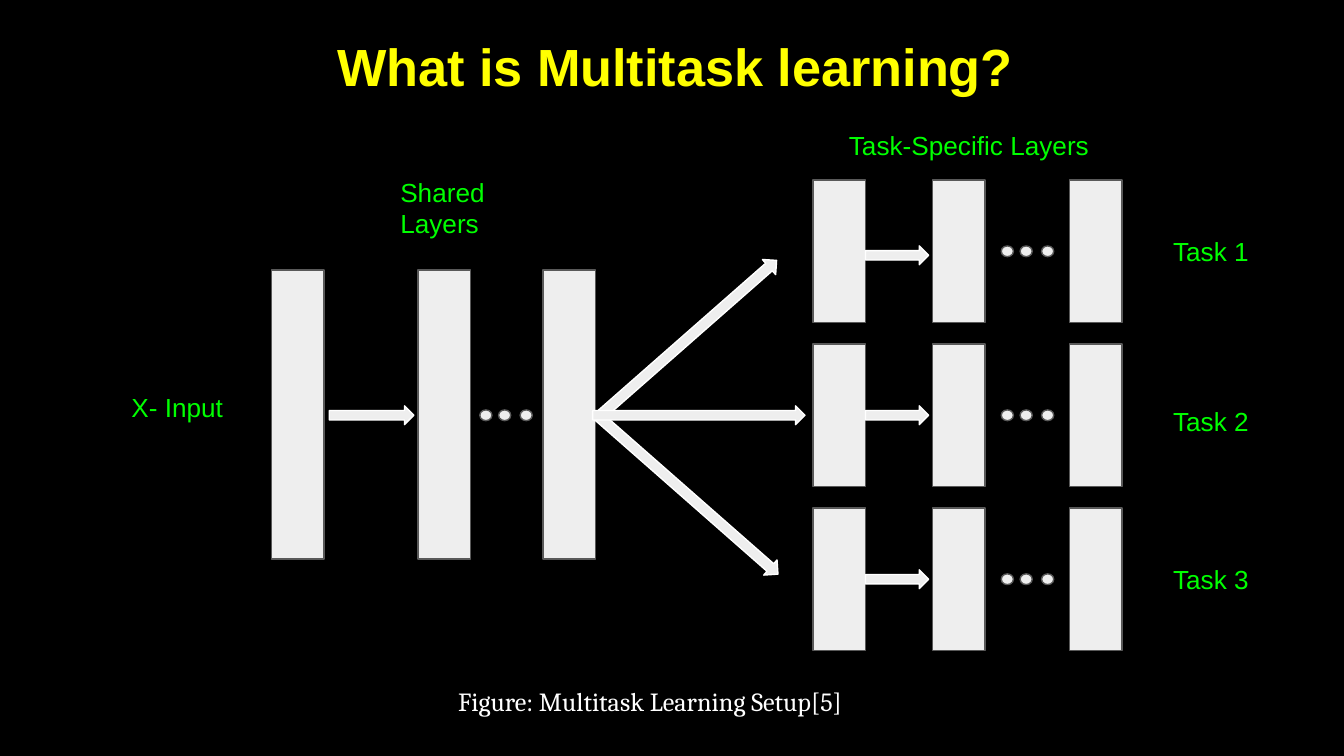
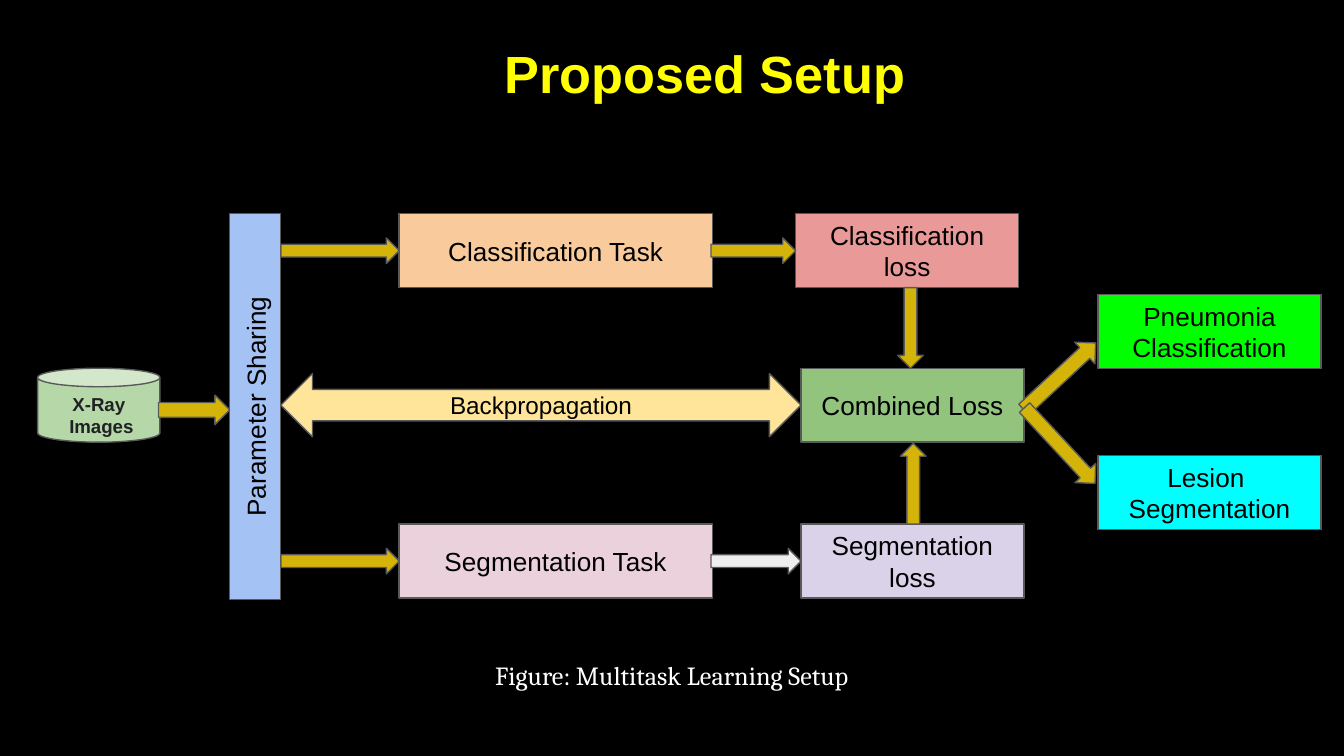
from pptx import Presentation
from pptx.dml.color import RGBColor
from pptx.enum.shapes import MSO_SHAPE
from pptx.enum.text import MSO_ANCHOR, MSO_AUTO_SIZE, PP_ALIGN
from pptx.util import Inches, Pt

RECTANGLE, OVAL, CAN = MSO_SHAPE.RECTANGLE, MSO_SHAPE.OVAL, MSO_SHAPE.CAN
RIGHT, UP, DOWN = MSO_SHAPE.RIGHT_ARROW, MSO_SHAPE.UP_ARROW, MSO_SHAPE.DOWN_ARROW
LEFT_RIGHT = MSO_SHAPE.LEFT_RIGHT_ARROW
ALIGN_LEFT, ALIGN_CENTER = PP_ALIGN.LEFT, PP_ALIGN.CENTER
TOP, MIDDLE = MSO_ANCHOR.TOP, MSO_ANCHOR.MIDDLE
FIT_SHAPE = MSO_AUTO_SIZE.SHAPE_TO_FIT_TEXT

BLACK, WHITE = "000000", "FFFFFF"
YELLOW, GREEN = "FFFF00", "00FF00"
OUTLINE, LIGHT, GOLD = "595959", "EEEEEE", "D5B409"
BODY_FONT, CAPTION_FONT = "Arial", "Cambria"
LAYER_WIDTH = 0.39


def color(hex_value):
    return RGBColor.from_string(hex_value)


def write(shape, text, size, text_color, font=BODY_FONT, bold=False,
          align=ALIGN_CENTER, anchor=MIDDLE):
    """Fill a shape with text, one paragraph per line."""
    frame = shape.text_frame
    frame.text = text
    frame.word_wrap = True
    frame.vertical_anchor = anchor
    for paragraph in frame.paragraphs:
        paragraph.alignment = align
        paragraph.font.name = font
        paragraph.font.size = Pt(size)
        paragraph.font.bold = bold
        paragraph.font.color.rgb = color(text_color)
    return frame


def add_text(slide, box, text, size=14, text_color=GREEN, **style):
    """Add a text box that grows with its text."""
    shape = slide.shapes.add_textbox(*map(Inches, box))
    style = {"align": ALIGN_LEFT, "anchor": TOP, **style}
    frame = write(shape, text, size, text_color, **style)
    frame.auto_size = FIT_SHAPE
    frame.margin_left = frame.margin_right = Inches(0.1)
    frame.margin_top = frame.margin_bottom = Inches(0.1)
    return frame


def add_title(slide, box, text, line_spacing, align):
    frame = add_text(slide, box, text, 28, YELLOW, bold=True, align=align, anchor=MIDDLE)
    paragraph = frame.paragraphs[0]
    paragraph.line_spacing = line_spacing
    paragraph.space_after = Pt(12)
    properties = paragraph._p.get_or_add_pPr()
    properties.set("marL", "0")
    properties.set("indent", str(Inches(0.5)))


def add_caption(slide, box, text, align):
    add_text(slide, box, text, 14, WHITE, font=CAPTION_FONT, align=align)


def add_shape(slide, kind, box, fill, line=OUTLINE, rotation=0):
    shape = slide.shapes.add_shape(kind, *map(Inches, box))
    shape.shadow.inherit = False
    shape.fill.solid()
    shape.fill.fore_color.rgb = color(fill)
    shape.line.color.rgb = color(line)
    shape.line.width = Pt(0.75)
    shape.rotation = rotation
    return shape


def add_box(slide, kind, box, fill, text, size=14, text_color=BLACK, bold=False):
    shape = add_shape(slide, kind, box, fill)
    frame = write(shape, text, size, text_color, bold=bold)
    frame.margin_top = frame.margin_bottom = 0
    return frame


def add_layer(slide, left, top, height):
    add_shape(slide, RECTANGLE, (left, top, LAYER_WIDTH, height), LIGHT)


def add_dots(slide, left, top):
    for offset in (0, 0.14, 0.3):
        add_shape(slide, OVAL, (left + offset, top, 0.09, 0.08), LIGHT)


def add_slide(presentation):
    slide = presentation.slides.add_slide(presentation.slide_layouts[6])
    slide.background.fill.solid()
    slide.background.fill.fore_color.rgb = color(BLACK)
    return slide


def build_multitask_slide(presentation):
    slide = add_slide(presentation)
    add_title(slide, (1.91, 0.12, 6.19, 0.67), "What is Multitask learning?", 1.15, ALIGN_LEFT)

    for left in (2.02, 3.11, 4.04):
        add_layer(slide, left, 2.01, 2.15)
    add_dots(slide, 3.57, 3.05)

    task_rows = [(1.83, 1.65), (3.02, 2.92), (4.24, 4.09)]
    for index, (arrow_top, label_top) in enumerate(task_rows):
        row_top = 1.34 + 1.22 * index
        for left in (6.05, 6.94, 7.96):
            add_layer(slide, left, row_top, 1.06)
        add_dots(slide, 7.45, row_top + 0.49)
        add_shape(slide, RIGHT, (6.44, arrow_top, 0.47, 0.14), LIGHT, WHITE)
        add_text(slide, (8.63, label_top, 0.85, 0.44), f"Task {index + 1}")

    for box, rotation in [
        ((2.45, 3.02, 0.63, 0.14), 0),
        ((4.22, 2.45, 1.78, 0.15), 318.7),
        ((4.23, 3.61, 1.78, 0.15), 41.3),
        ((4.41, 3.02, 1.58, 0.14), 0),
    ]:
        add_shape(slide, RIGHT, box, LIGHT, WHITE, rotation)

    add_text(slide, (0.88, 2.81, 1, 0.44), "X- Input")
    add_text(slide, (2.88, 1.21, 0.85, 0.67), "Shared Layers")
    add_text(slide, (5.57, 0.86, 3.28, 0.44), "Task-Specific Layers", align=ALIGN_CENTER)
    add_caption(slide, (3.31, 5, 3.38, 0.44), "Figure: Multitask Learning Setup[5]", ALIGN_LEFT)


def build_setup_slide(presentation):
    slide = add_slide(presentation)
    add_title(slide, (1.77, 0.09, 6.45, 0.67), "Proposed Setup", 1.5, ALIGN_CENTER)

    images = add_box(slide, CAN, (0.28, 2.74, 0.91, 0.55), "B6D7A8", "X-Ray\n Images", 10,
                     "202124", bold=True)
    images.margin_top = Inches(0.08)
    sharing = add_box(slide, RECTANGLE, (1.71, 1.59, 0.38, 2.87), "A4C2F4",
                      "Parameter Sharing")
    sharing.margin_left = sharing.margin_right = 0
    sharing._txBody.bodyPr.set("vert", "vert270")

    for left, top, width, fill, text in [
        (2.97, 1.59, 2.33, "F9CB9C", "Classification Task"),
        (2.97, 3.9, 2.33, "EAD1DC", "Segmentation Task"),
        (8.17, 2.19, 1.66, "00FF00", "Pneumonia Classification"),
        (5.92, 1.59, 1.66, "EA9999", "Classification loss"),
        (5.96, 2.74, 1.66, "93C47D", "Combined Loss"),
        (5.96, 3.9, 1.66, "D9D2E9", "Segmentation\nloss"),
        (8.17, 3.39, 1.66, "00FFFF", "Lesion \nSegmentation"),
    ]:
        add_box(slide, RECTANGLE, (left, top, width, 0.55), fill, text)
    add_box(slide, LEFT_RIGHT, (2.09, 2.78, 3.87, 0.47), "FFE599", "Backpropagation", 13)

    for kind, box, fill, rotation in [
        (RIGHT, (2.09, 1.77, 0.88, 0.19), GOLD, 0),
        (RIGHT, (2.09, 4.08, 0.88, 0.19), GOLD, 0),
        (RIGHT, (5.29, 1.77, 0.63, 0.19), GOLD, 0),
        (RIGHT, (5.29, 4.08, 0.67, 0.19), LIGHT, 0),
        (UP, (6.7, 3.3, 0.19, 0.6), GOLD, 0),
        (DOWN, (6.68, 2.14, 0.19, 0.6), GOLD, 0),
        (RIGHT, (7.52, 2.69, 0.73, 0.22), GOLD, 317.1),
        (RIGHT, (7.5, 3.21, 0.77, 0.21), GOLD, 47.1),
        (RIGHT, (1.18, 2.94, 0.53, 0.22), GOLD, 0),
    ]:
        add_shape(slide, kind, box, fill, rotation=rotation)

    add_caption(slide, (2.67, 4.81, 4.66, 0.44), "Figure: Multitask Learning Setup", ALIGN_CENTER)


def main():
    presentation = Presentation()
    presentation.slide_width = Inches(10)
    presentation.slide_height = Inches(10) * 9 // 16
    build_multitask_slide(presentation)
    build_setup_slide(presentation)
    presentation.save("out.pptx")


if __name__ == "__main__":
    main()
